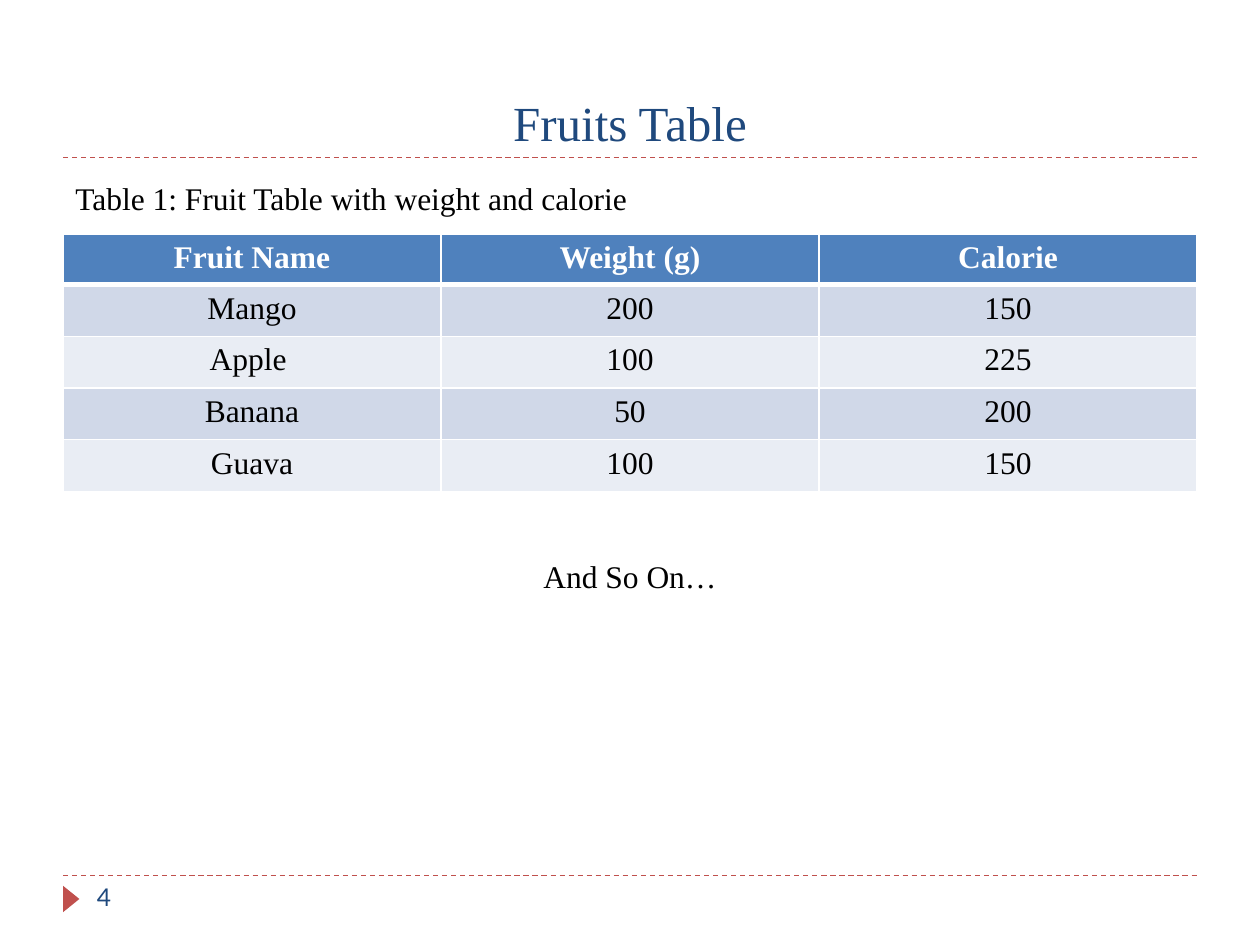
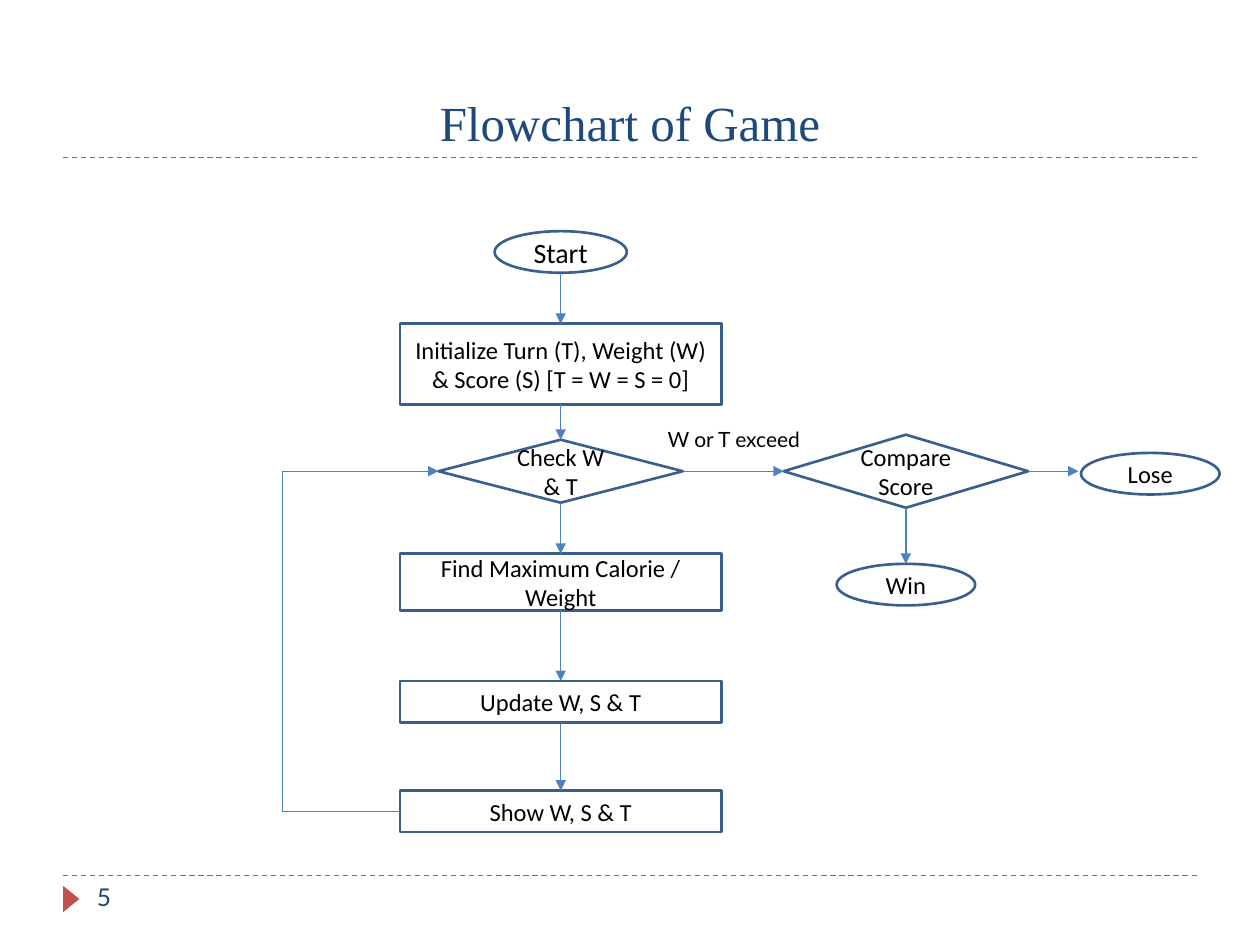
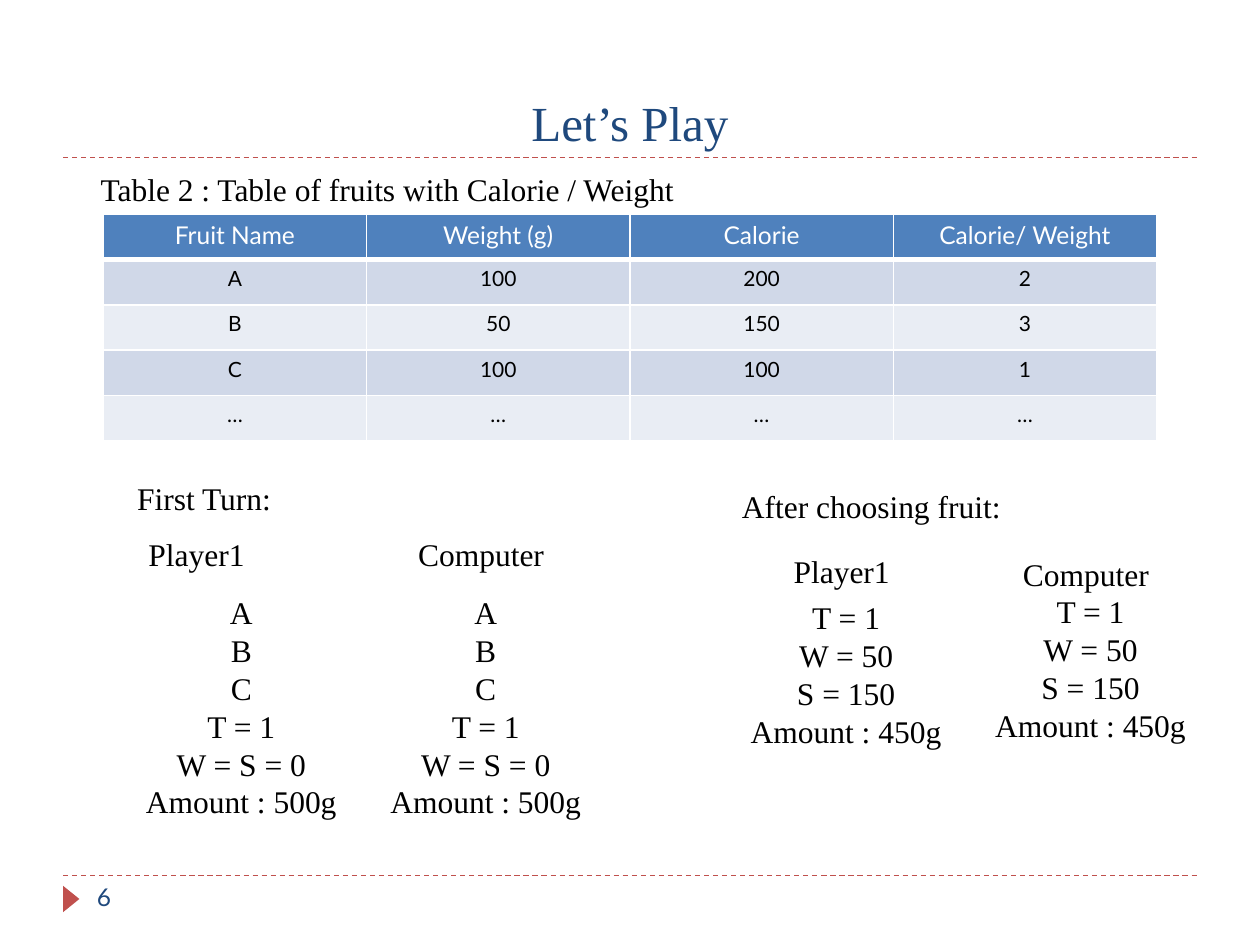
from lxml.etree import SubElement
from pptx import Presentation
from pptx.dml.color import RGBColor
from pptx.enum.dml import MSO_LINE
from pptx.enum.shapes import MSO_CONNECTOR, MSO_SHAPE
from pptx.enum.text import MSO_ANCHOR, PP_ALIGN
from pptx.oxml.ns import qn
from pptx.util import Inches, Pt

NAVY, BLUE, OUTLINE, RED = "1F497D", "4F81BD", "3A5F8C", "C0504D"
BLACK, WHITE = "000000", "FFFFFF"
BANDS = ("D0D8E8", "E9EDF4")
SERIF, SANS, CHART_FONT = "Times New Roman", "Lato", "Calibri"


def color(hex_string):
    return RGBColor.from_string(hex_string)


def write(frame, text, size, font, ink=BLACK, align=PP_ALIGN.LEFT, bold=False):
    frame.text = text
    frame.word_wrap = True
    for paragraph in frame.paragraphs:
        paragraph.alignment = align
        for run in paragraph.runs:
            run.font.size = Pt(size)
            run.font.name = font
            run.font.bold = bold
            run.font.color.rgb = color(ink)


def add_text(slide, box, text, size=18, font=SERIF, ink=BLACK, align=PP_ALIGN.LEFT):
    frame = slide.shapes.add_textbox(*map(Inches, box)).text_frame
    write(frame, text, size, font, ink, align)
    return frame


def add_line(slide, start, end, ink=BLUE, arrow=False):
    line = slide.shapes.add_connector(
        MSO_CONNECTOR.STRAIGHT, *map(Inches, (*start, *end)))
    line.line.color.rgb = color(ink)
    line.line.width = Pt(0.75)
    if arrow:
        SubElement(line.line._get_or_add_ln(), qn("a:tailEnd"), type="triangle")
    SubElement(line._element.spPr, qn("a:effectLst"))
    return line


# Title, dashed rules and page number shared by all slides
def add_base_slide(prs, title, number):
    slide = prs.slides.add_slide(prs.slide_layouts[6])
    for y in (6.95, 1.25):
        rule = add_line(slide, (0.5, y), (9.5, y), RED)
        rule.line.dash_style = MSO_LINE.DASH
    marker = slide.shapes.add_shape(
        MSO_SHAPE.ISOSCELES_TRIANGLE, *map(Inches, (0.46, 7.07, 0.21, 0.13)))
    marker.rotation = 90
    marker.shadow.inherit = False
    marker.fill.solid()
    marker.fill.fore_color.rgb = color(RED)
    marker.line.fill.background()
    heading = add_text(slide, (0.5, 0.17, 9, 1.08), title, 28, SERIF, NAVY,
                       PP_ALIGN.CENTER)
    heading.vertical_anchor = MSO_ANCHOR.BOTTOM
    add_text(slide, (0.67, 6.95, 2.17, 0.4), str(number), 14, SANS, NAVY)
    return slide


def set_borders(cell, top, bottom):
    properties = cell._tc.get_or_add_tcPr()
    for side, points in (("L", 1), ("R", 1), ("T", top), ("B", bottom)):
        border = SubElement(properties, qn(f"a:ln{side}"), w=str(Pt(points)))
        fill = SubElement(border, qn("a:solidFill"))
        SubElement(fill, qn("a:srgbClr"), val=WHITE)


# Banded table with a blue header row
def add_fruit_table(slide, left, top, width, rows, header_height, row_height,
                    font, header_size, body_size, bold_header):
    height = header_height + row_height * (len(rows) - 1)
    table = slide.shapes.add_table(
        len(rows), len(rows[0]), *map(Inches, (left, top, width, height))).table
    for r, values in enumerate(rows):
        header = r == 0
        table.rows[r].height = Inches(header_height if header else row_height)
        for c, value in enumerate(values):
            cell = table.cell(r, c)
            set_borders(cell, 3 if r == 1 else 1, 3 if header else 1)
            cell.fill.solid()
            cell.fill.fore_color.rgb = color(BLUE if header else BANDS[(r - 1) % 2])
            write(cell.text_frame, value, header_size if header else body_size,
                  font, WHITE if header else BLACK, PP_ALIGN.CENTER,
                  header and bold_header)


def add_step(slide, kind, center, size, text, points=14):
    (x, y), (w, h) = center, size
    step = slide.shapes.add_shape(
        kind, *map(Inches, (x - w / 2, y - h / 2, w, h)))
    step.shadow.inherit = False
    step.fill.background()
    step.line.color.rgb = color(OUTLINE)
    step.line.width = Pt(1.5)
    write(step.text_frame, text, points, CHART_FONT, BLACK, PP_ALIGN.CENTER)
    step.text_frame.vertical_anchor = MSO_ANCHOR.MIDDLE


def add_flowchart(slide, left, top):
    oval, process, decision = (
        MSO_SHAPE.OVAL, MSO_SHAPE.RECTANGLE, MSO_SHAPE.FLOWCHART_DECISION)
    main_x, score_x, lose_x = left + 2.21, left + 4.95, left + 6.89
    check_y = top + 1.91

    # Main column, linked from each step to the next
    column = [
        (oval, 0.17, (1.05, 0.33), "Start", 16),
        (process, 1.06, (2.55, 0.64),
         "Initialize Turn (T), Weight (W) & Score (S) [T = W = S = 0]", 14),
        (decision, 1.91, (1.94, 0.5), "Check W & T", 14),
        (process, 2.79, (2.55, 0.45), "Find Maximum Calorie / Weight", 14),
        (process, 3.74, (2.55, 0.33), "Update W, S & T", 14),
        (process, 4.61, (2.55, 0.33), "Show W, S & T", 14),
    ]
    for kind, y, size, text, points in column:
        add_step(slide, kind, (main_x, top + y), size, text, points)
    for (_, y, size, *_), (_, next_y, next_size, *_) in zip(column, column[1:]):
        add_line(slide, (main_x, top + y + size[1] / 2),
                 (main_x, top + next_y - next_size[1] / 2), arrow=True)

    # Outcome branch
    win_y = top + 2.81
    add_step(slide, decision, (score_x, check_y), (1.94, 0.58), "Compare Score")
    add_step(slide, oval, (score_x, win_y), (1.1, 0.33), "Win")
    add_step(slide, oval, (lose_x, check_y + 0.02), (1.1, 0.33), "Lose")
    add_line(slide, (main_x + 0.97, check_y), (score_x - 0.97, check_y), arrow=True)
    add_line(slide, (score_x + 0.97, check_y), (lose_x - 0.57, check_y), arrow=True)
    add_line(slide, (score_x, check_y + 0.29), (score_x, win_y - 0.165), arrow=True)
    add_text(slide, (left + 2.96, top + 1.51, 1.34, 0.3), "W or T exceed", 12, SANS)

    # Loop back from the last step to the check
    show_y = top + 4.61
    add_line(slide, (main_x - 1.275, show_y), (left, show_y))
    add_line(slide, (left, show_y), (left, check_y))
    add_line(slide, (left, check_y), (main_x - 0.97, check_y), arrow=True)


# Heading of a turn, with a name and a state list for each player
def add_turn(slide, left, top, heading, state, names, lists):
    add_text(slide, (left, top, 3.14, 0.4), heading)
    for player, (x, y) in zip(("Player1", "Computer"), names):
        add_text(slide, (left + x, top + y, 1.48, 0.4), player)
    for x, y in lists:
        add_text(slide, (left + x, top + y, 1.85, 0.32 * len(state)),
                 "\n".join(state), align=PP_ALIGN.CENTER)


def build_fruits(prs):
    slide = add_base_slide(prs, "Fruits Table", 4)
    add_text(slide, (0.5, 1.37, 4.97, 0.4),
             "Table 1: Fruit Table with weight and calorie")
    rows = [("Fruit Name", "Weight (g)", "Calorie"),
            ("Mango", "200", "150"),
            ("Apple ", "100", "225"),
            ("Banana", "50", "200"),
            ("Guava", "100", "150")]
    add_fruit_table(slide, 0.5, 1.86, 9, rows, 0.37, 0.41, SERIF, 18, 18, True)
    add_text(slide, (3.7, 4.37, 2.6, 0.4), "And So On…", align=PP_ALIGN.CENTER)


def build_flowchart(prs):
    slide = add_base_slide(prs, "Flowchart of Game", 5)
    add_flowchart(slide, 2.24, 1.83)


def build_play(prs):
    slide = add_base_slide(prs, "Let’s Play", 6)
    add_text(slide, (0.7, 1.3, 6.22, 0.4),
             "Table 2 : Table of fruits with Calorie / Weight")
    rows = [("Fruit Name", "Weight (g)", "Calorie", "Calorie/ Weight"),
            ("A", "100", "200", "2"),
            ("B", "50", "150", "3"),
            ("C", "100", "100", "1"),
            ("…",) * 4]
    add_fruit_table(slide, 0.82, 1.7, 8.36, rows, 0.36, 0.36, SANS, 14, 12, False)
    add_turn(slide, 0.99, 3.75, "First Turn:",
             ("A", "B", "C", "T = 1", "W = S = 0", "Amount : 500g"),
             names=((0.09, 0.45), (2.23, 0.45)), lists=((0, 0.91), (1.94, 0.91)))
    add_turn(slide, 5.79, 3.82, "After choosing fruit:",
             ("T = 1", "W = 50", "S = 150", "Amount : 450g"),
             names=((0.41, 0.51), (2.23, 0.54)), lists=((0, 0.88), (1.94, 0.83)))


def main():
    prs = Presentation()
    prs.slide_width, prs.slide_height = Inches(10), Inches(7.5)
    build_fruits(prs)
    build_flowchart(prs)
    build_play(prs)
    prs.save("out.pptx")


if __name__ == "__main__":
    main()
